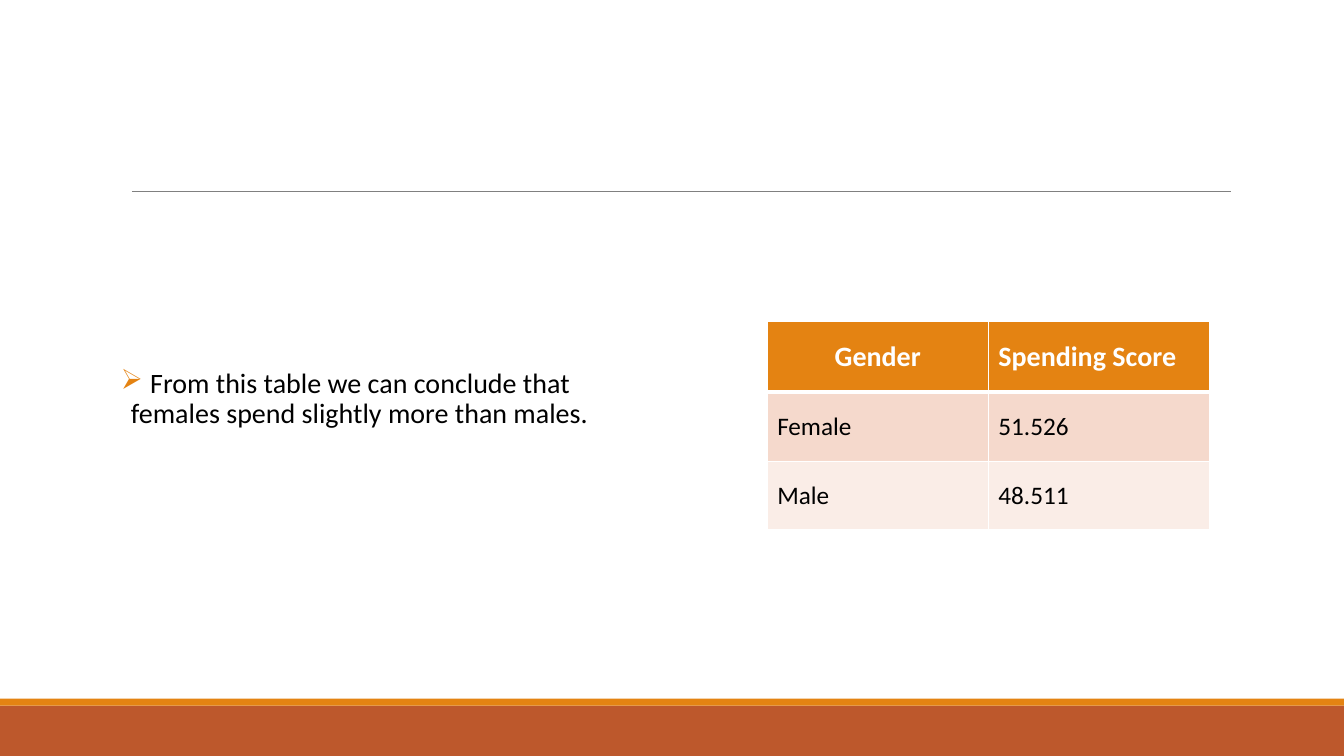
from lxml import etree
from pptx import Presentation
from pptx.dml.color import RGBColor
from pptx.enum import shapes, text
from pptx.oxml import ns
from pptx.util import Pt

COLORS = {
    "white": "FFFFFF",
    "black": "000000",
    "orange": "E48312",
    "rust": "BD582C",
    "rule": "808080",
    "band_dark": "F5D9CC",
    "band_light": "FAEDE7",
}
SLIDE_WIDTH, SLIDE_HEIGHT = 960, 540


def rgb(name):
    return RGBColor.from_string(COLORS[name])


def add_run(paragraph, words, *, size, color="black", font="Calibri", bold=False):
    run = paragraph.add_run()
    run.text = words
    run.font.name = font
    run.font.size = Pt(size)
    run.font.bold = bold
    run.font.color.rgb = rgb(color)


def add_child(parent, tag, **attributes):
    return etree.SubElement(parent, ns.qn(tag), attributes)


def add_band(slide, left, top, width, height, color):
    band = slide.shapes.add_shape(
        shapes.MSO_SHAPE.RECTANGLE, Pt(left), Pt(top), Pt(width), Pt(height))
    band.shadow.inherit = False
    band.fill.solid()
    band.fill.fore_color.rgb = rgb(color)
    band.line.fill.background()


def add_footer(slide, left, top, width, height):
    """Draw a thin orange stripe above a rust band."""
    stripe = 5
    add_band(slide, left, top + stripe, width, height - stripe, "rust")
    add_band(slide, left, top, width, stripe, "orange")


def add_title_rule(slide, left, top, width):
    rule = slide.shapes.add_connector(
        shapes.MSO_CONNECTOR.STRAIGHT, Pt(left), Pt(top), Pt(left + width), Pt(top))
    rule.line.color.rgb = rgb("rule")
    rule.line.width = Pt(0.5)
    add_child(rule._element.spPr, "a:effectLst")


def add_conclusion(slide, left, top, width, height):
    frame = slide.shapes.add_textbox(
        Pt(left), Pt(top), Pt(width), Pt(height)).text_frame
    frame.word_wrap = True
    frame.vertical_anchor = text.MSO_ANCHOR.MIDDLE
    frame.margin_left = frame.margin_right = 0
    frame.margin_top, frame.margin_bottom = Pt(3.6), Pt(40)

    conclusion = frame.paragraphs[0]
    conclusion.line_spacing = 0.9
    conclusion.space_before, conclusion.space_after = Pt(12), Pt(2)
    properties = conclusion._p.get_or_add_pPr()
    properties.set("marL", str(Pt(7.2)))
    properties.set("indent", str(Pt(-7.2)))
    bullet_color = add_child(properties, "a:buClr")
    add_child(bullet_color, "a:srgbClr", val=COLORS["orange"])
    add_child(properties, "a:buChar", char="➢")
    add_run(conclusion, " ", size=20, font="Roboto")
    add_run(conclusion, "From this table we can conclude that females spend "
            "slightly more than males.", size=20)


def set_borders(cell, top, bottom):
    """Give a cell white borders; top and bottom are widths in points."""
    properties = cell._tc.get_or_add_tcPr()
    for side, width in (("L", 1), ("R", 1), ("T", top), ("B", bottom)):
        border = add_child(properties, f"a:ln{side}", w=str(Pt(width)))
        fill = add_child(border, "a:solidFill")
        add_child(fill, "a:srgbClr", val=COLORS["white"])


def add_score_table(slide, left, top, width, row_heights):
    rows = [("Gender", "Spending Score"), ("Female", "51.526"), ("Male", "48.511")]
    fills = ["orange", "band_dark", "band_light"]
    table = slide.shapes.add_table(
        len(rows), 2, Pt(left), Pt(top), Pt(width), Pt(sum(row_heights))).table
    table.horz_banding = False
    for column in table.columns:
        column.width = Pt(width / 2)
    for r, (values, fill, height) in enumerate(zip(rows, fills, row_heights)):
        table.rows[r].height = Pt(height)
        header = r == 0
        for c, value in enumerate(values):
            cell = table.cell(r, c)
            set_borders(cell, top=3 if r == 1 else 1, bottom=3 if header else 1)
            cell.fill.solid()
            cell.fill.fore_color.rgb = rgb(fill)
            cell.vertical_anchor = text.MSO_ANCHOR.MIDDLE
            paragraph = cell.text_frame.paragraphs[0]
            if header and c == 0:
                paragraph.alignment = text.PP_ALIGN.CENTER
            add_run(paragraph, value, size=20 if header else 18, bold=header,
                    color="white" if header else "black")


def main():
    deck = Presentation()
    deck.slide_width, deck.slide_height = Pt(SLIDE_WIDTH), Pt(SLIDE_HEIGHT)
    slide = deck.slides.add_slide(deck.slide_layouts[6])
    footer_height = 41
    add_footer(slide, 0, SLIDE_HEIGHT - footer_height, SLIDE_WIDTH, footer_height)
    add_title_rule(slide, 94.2, 136.8, 784.8)
    add_conclusion(slide, 86.4, 145.4, 388.8, 316.8)
    add_score_table(slide, 548, 229.7, 316, [50.4, 49.7, 48.2])
    deck.save("out.pptx")


if __name__ == "__main__":
    main()
